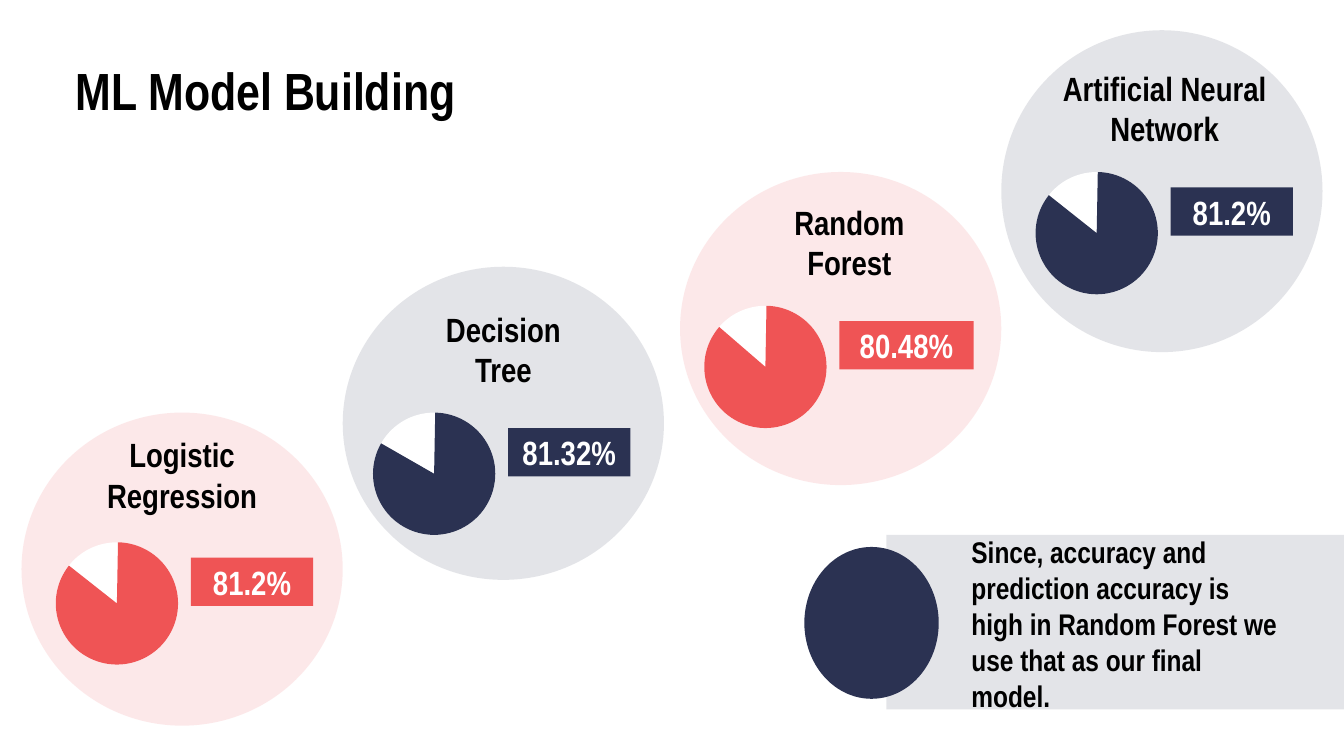
import pptx
import pptx.dml.color
import pptx.enum.shapes
import pptx.enum.text
import pptx.util
from collections import namedtuple
from lxml import etree

COLORS = {"red": "EF5455", "navy": "2B3252", "white": "FFFFFF", "black": "000000"}
FONT = "Arial Narrow"
TINT = 13  # opacity of the pale backgrounds, in percent
SHAPES = pptx.enum.shapes.MSO_SHAPE
ALIGN = pptx.enum.text.PP_ALIGN
ANCHOR = pptx.enum.text.MSO_ANCHOR

# A 16:9 slide on a grid of square cells, 100 columns wide
SLIDE_WIDTH = pptx.util.Inches(10)
SLIDE_HEIGHT = SLIDE_WIDTH * 9 // 16
CELL = SLIDE_WIDTH / 100

Box = namedtuple("Box", "left top width height")
# pie and heading are offsets from the top left of the circle
Model = namedtuple("Model", "name accuracy color circle pie pie_end heading heading_width label_width")

MODELS = [
    Model("Logistic Regression", "81.2%", "red", Box(1.6, 30.7, 23.9, 23.3),
          (2.55, 9.65), 218.25, (5.25, 2.55), 13.4, 9.1),
    Model("Decision Tree", "81.32%", "navy", Box(25.5, 19.85, 23.9, 23.3),
          (2.25, 10.85), 209.79, (5.25, 4.05), 13.4, 9.1),
    Model("Random Forest", "80.48%", "red", Box(50.6, 12.8, 23.9, 23.3),
          (1.8, 9.95), 220.84, (5.9, 3.15), 13.4, 10),
    Model("Artificial Neural Network", "81.2%", "navy", Box(74.5, 2.25, 23.9, 23.95),
          (2.55, 10.55), 218.42, (3.4, 3.75), 17.5, 9.1),
]


def to_lengths(box):
    return [round(length * CELL) for length in box]


def inside(box, offset, width, height):
    return Box(box.left + offset[0], box.top + offset[1], width, height)


def add_filled(slide, kind, box, color, opacity=100):
    shape = slide.shapes.add_shape(kind, *to_lengths(box))
    shape.shadow.inherit = False
    shape.line.fill.background()
    shape.fill.solid()
    shape.fill.fore_color.rgb = pptx.dml.color.RGBColor.from_string(COLORS[color])
    if opacity < 100:
        color_element = shape.fill._xPr.find(".//" + pptx.oxml.ns.qn("a:srgbClr"))
        alpha = etree.SubElement(color_element, pptx.oxml.ns.qn("a:alpha"))
        alpha.set("val", str(opacity * 1000))
    return shape


def write(shape, text, size, color="black", align=ALIGN.CENTER, anchor=ANCHOR.MIDDLE):
    frame = shape.text_frame
    frame.text = text
    frame.word_wrap = True
    frame.auto_size = pptx.enum.text.MSO_AUTO_SIZE.NONE
    frame.vertical_anchor = anchor
    frame.margin_left = frame.margin_right = pptx.util.Inches(0.1)
    frame.margin_top = frame.margin_bottom = pptx.util.Inches(0.1)
    paragraph = frame.paragraphs[0]
    paragraph.alignment = align
    font = paragraph.runs[0].font
    font.name, font.size, font.bold = FONT, pptx.util.Pt(size), True
    font.color.rgb = pptx.dml.color.RGBColor.from_string(COLORS[color])


def add_title(slide, box):
    title = slide.shapes.title
    title.left, title.top, title.width, title.height = to_lengths(box)
    write(title, "ML Model Building", 28, anchor=ANCHOR.TOP)


def add_model(slide, model):
    circle = model.circle
    add_filled(slide, SHAPES.OVAL, circle, model.color, TINT)

    # Accuracy pie on a white disc; 0.6 turns degrees into adjustment units
    pie_box = inside(circle, model.pie, 9.1, 9.1)
    add_filled(slide, SHAPES.OVAL, pie_box, "white")
    pie = add_filled(slide, SHAPES.PIE, pie_box, model.color)
    pie.adjustments[0] = 271.02 * 0.6
    pie.adjustments[1] = model.pie_end * 0.6

    # Accuracy label beside the pie
    label = add_filled(slide, SHAPES.RECTANGLE,
                       inside(pie_box, (10.05, 1.15), model.label_width, 3.6), model.color)
    write(label, model.accuracy, 18, "white")

    # Model name
    heading_box = inside(circle, model.heading, model.heading_width, 4.1)
    write(slide.shapes.add_textbox(*to_lengths(heading_box)), model.name, 18)


def add_conclusion(slide, box):
    add_filled(slide, SHAPES.RECTANGLE, box, "navy", TINT)
    add_filled(slide, SHAPES.OVAL, inside(box, (-6.1, 0.9), 10, 11.3), "navy")
    note = slide.shapes.add_textbox(*to_lengths(inside(box, (5.35, 3.5), 25.2, 6.2)))
    write(note, "Since, accuracy and prediction accuracy is high in Random Forest "
                "we use that as our final model.", 16, align=ALIGN.LEFT)


def main():
    presentation = pptx.Presentation()
    presentation.slide_width, presentation.slide_height = SLIDE_WIDTH, SLIDE_HEIGHT
    slide = presentation.slides.add_slide(presentation.slide_layouts[5])
    add_title(slide, Box(3.35, 3.3, 32.8, 6.7))
    for model in MODELS:
        add_model(slide, model)
    add_conclusion(slide, Box(65.95, 39.8, 34.05, 13))
    presentation.save("out.pptx")


if __name__ == "__main__":
    main()
